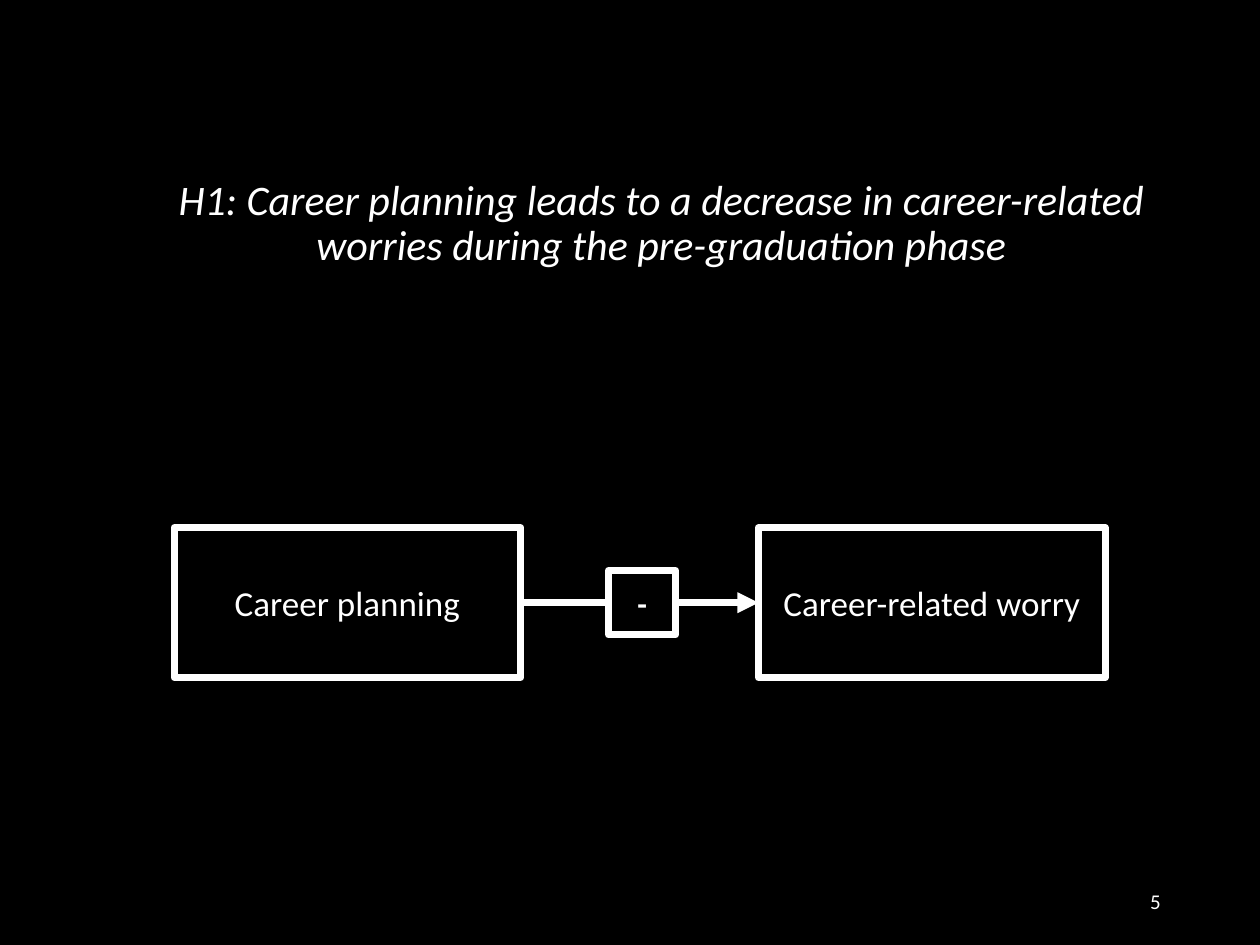
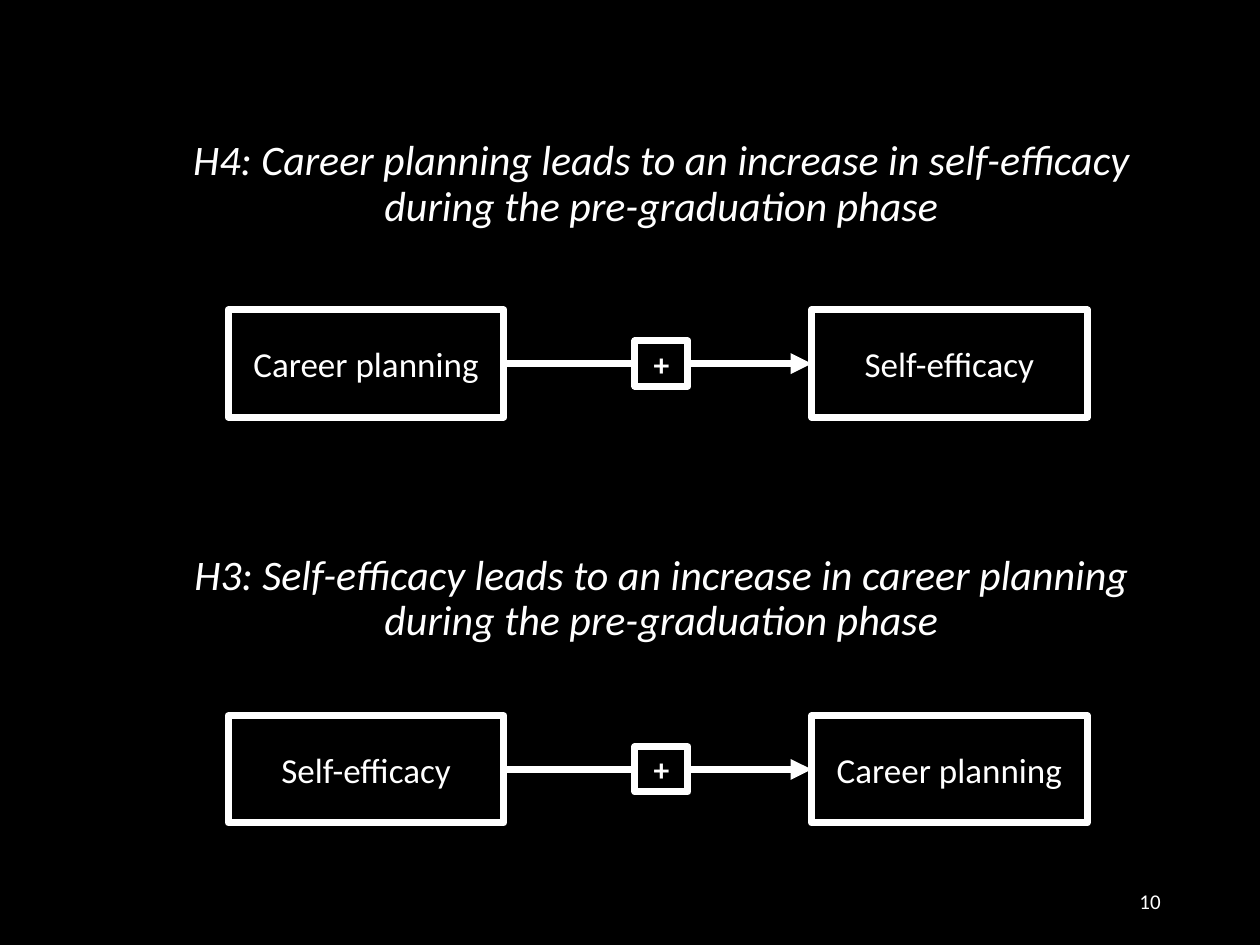
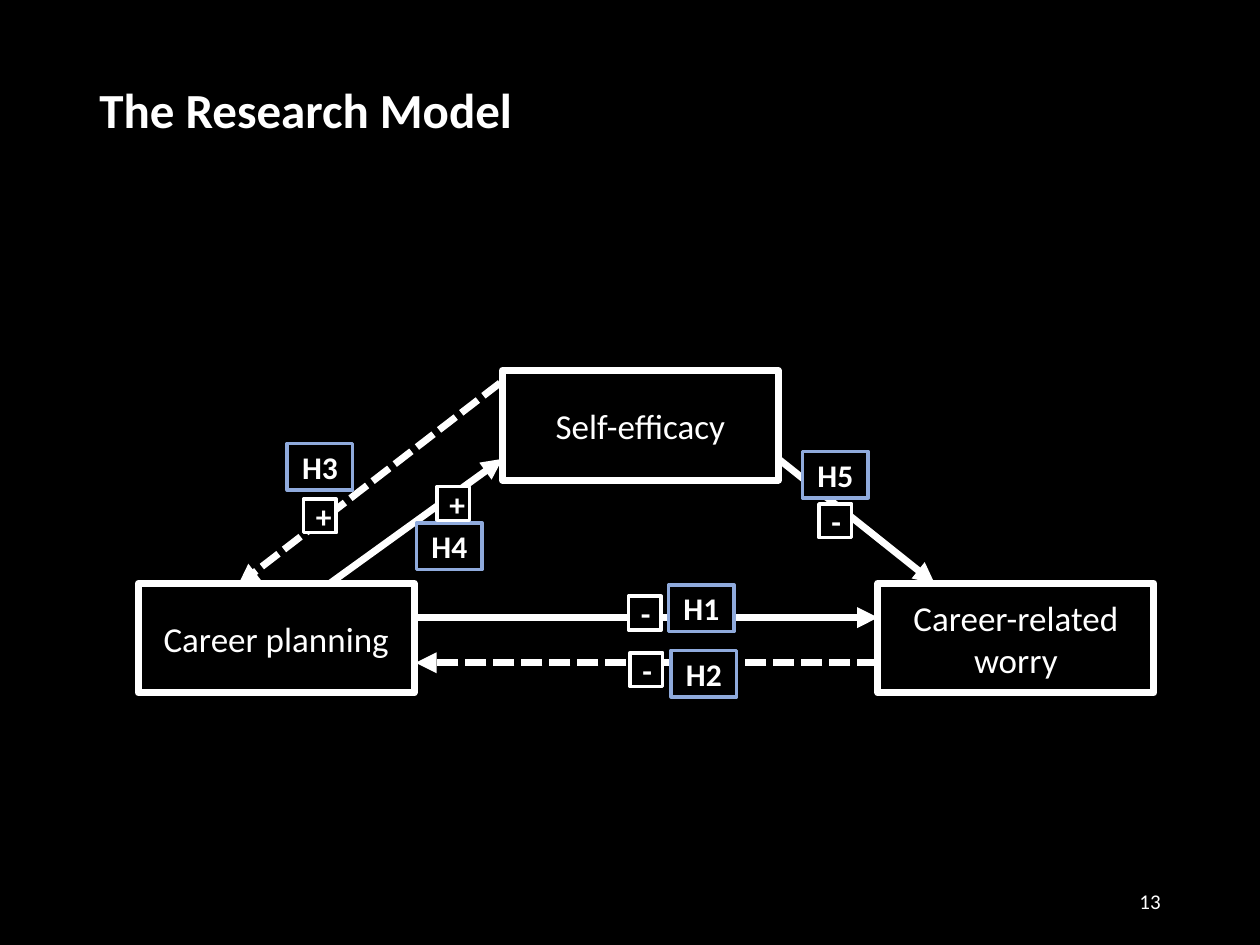
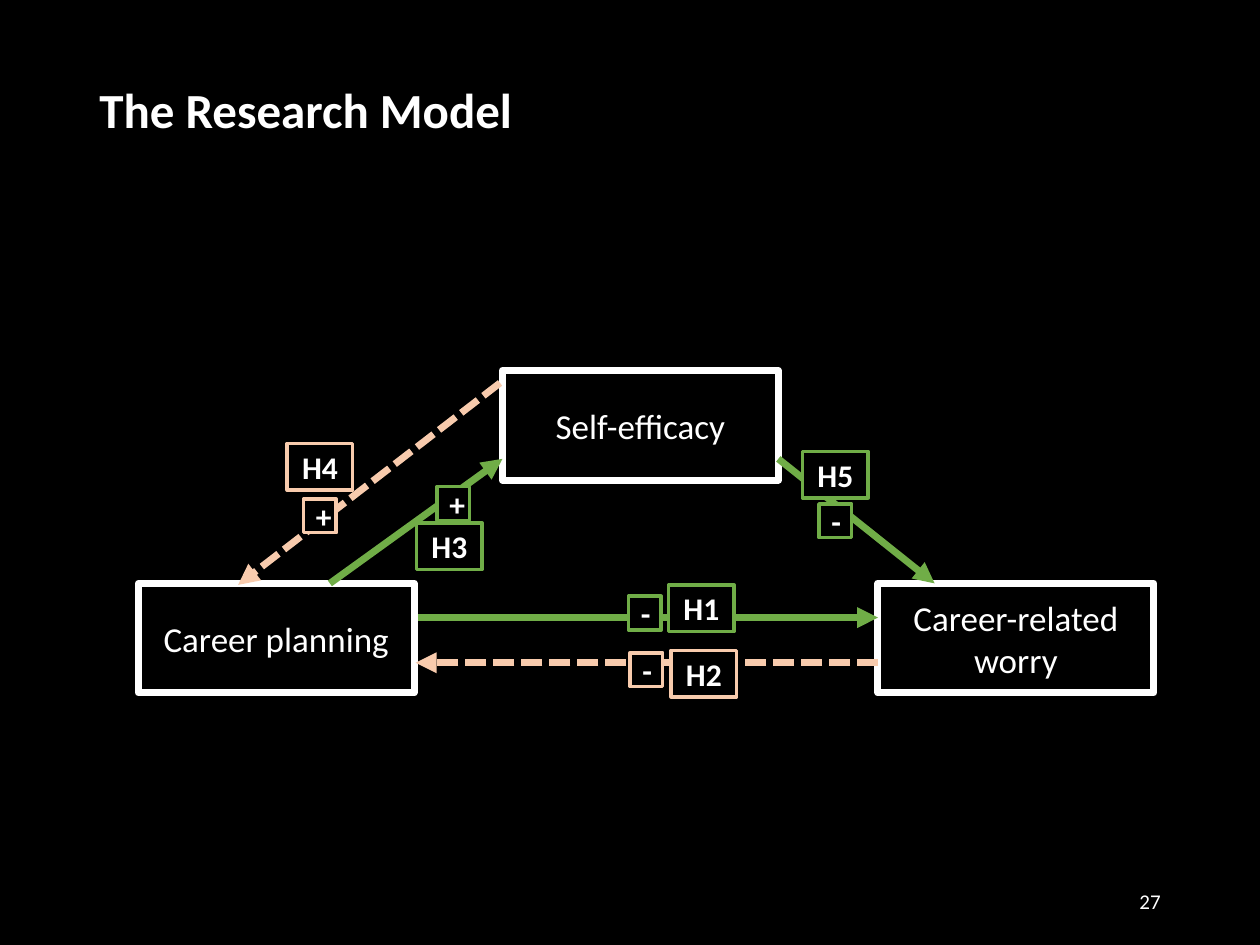
from typing import NamedTuple

from lxml.etree import SubElement
from pptx import Presentation
from pptx.dml.color import RGBColor
from pptx.enum.dml import MSO_LINE
from pptx.enum.shapes import MSO_CONNECTOR, MSO_SHAPE
from pptx.enum.text import MSO_ANCHOR as Anchor, MSO_AUTO_SIZE as Fit, PP_ALIGN as Align
from pptx.oxml.ns import qn
from pptx.util import Cm, Pt

BLACK = RGBColor(0x00, 0x00, 0x00)
WHITE = RGBColor(0xFF, 0xFF, 0xFF)
BLUE = RGBColor(0x8F, 0xAA, 0xDC)
GREEN = RGBColor(0x70, 0xAD, 0x47)
PEACH = RGBColor(0xF8, 0xCB, 0xAD)
FONT = "Calibri"
TITLE_ONLY, BLANK = 5, 6
THICK, THIN = 4, 2

PLAN, SELF, WORRY = "Career planning", "Self-efficacy", "Career-related worry"


class Path(NamedTuple):
    """An effect in the model, in cm from the model's top left corner."""
    start: tuple
    end: tuple
    tag: tuple
    sign: str
    spot: tuple
    dashed: bool = False


NODES = [(SELF, 7.34, 0), (WORRY, 14.91, 4.29), (PLAN, 0, 4.29)]
PATHS = {
    "plan-worry": Path((5.64, 4.98), (14.91, 4.98), (10.69, 4.32), "-", (9.88, 4.55)),
    "worry-plan": Path((14.91, 5.89), (5.59, 5.89), (10.74, 5.64), "-", (9.91, 5.69), True),
    "self-plan": Path((7.29, 0.25), (2.01, 4.32), (3, 1.47), "+", (3.33, 2.59), True),
    "plan-self": Path((3.86, 4.29), (7.34, 1.78), (5.61, 3.07), "+", (6.02, 2.34)),
    "self-worry": Path((12.9, 1.78), (16.05, 4.29), (13.39, 1.63), "-", (13.72, 2.69)),
}


def cms(*nums):
    return [Cm(num) for num in nums]


def write(shape, text, size, align=Align.CENTER, anchor=Anchor.MIDDLE,
          bold=False, italic=False, pitch=None):
    frame = shape.text_frame
    frame.word_wrap = True
    frame.auto_size = Fit.NONE
    frame.vertical_anchor = anchor
    para = frame.paragraphs[0]
    para.alignment = align
    para.line_spacing = pitch
    run = para.add_run()
    run.text = text
    font = run.font
    font.name, font.size = FONT, Pt(size)
    font.bold, font.italic = bold, italic
    font.color.rgb = WHITE


def box(slide, text, x, y, wide, high, size=20, bold=False, color=WHITE, line=THICK):
    shape = slide.shapes.add_shape(MSO_SHAPE.RECTANGLE, *cms(x, y, wide, high))
    shape.shadow.inherit = False
    shape.fill.solid()
    shape.fill.fore_color.rgb = BLACK
    shape.line.color.rgb = color
    shape.line.width = Pt(line)
    write(shape, text, size, bold=bold)
    return shape


def arrow(slide, start, end, color=WHITE, dashed=False):
    link = slide.shapes.add_connector(MSO_CONNECTOR.STRAIGHT, *cms(*start, *end))
    link.line.color.rgb = color
    link.line.width = Pt(THICK)
    if dashed:
        link.line.dash_style = MSO_LINE.SQUARE_DOT
    props = link._element.spPr
    SubElement(props.find(qn("a:ln")), qn("a:tailEnd"), type="triangle")
    SubElement(props, qn("a:effectLst"))
    return link


def claim(slide, text, top):
    """Write a hypothesis as a centred statement."""
    area = slide.shapes.add_textbox(*cms(3.02, top, 20.62, 2.3))
    write(area, text, 24, anchor=Anchor.TOP, italic=True, pitch=0.9)


def effect(slide, cause, result, sign, x, y, size, step, mark, shift):
    """Join two boxes, step apart, by an arrow that carries a sign."""
    wide, high = size
    left = box(slide, cause, x, y, wide, high)
    right = box(slide, result, x + step, y, wide, high)
    link = arrow(slide, (x + wide, y + high / 2), (x + step, y + high / 2))
    link.begin_connect(left, 3)
    link.end_connect(right, 1)
    box(slide, sign, x + shift, y + (high - mark[1]) / 2, *mark, size=18, bold=True)


def model(slide, x, y, names, solid, dash, edge=None):
    """Draw the research model; tags take the colour of their path unless edge is set."""
    for text, dx, dy in NODES:
        box(slide, text, x + dx, y + dy, 5.56, 2.21)
    for path in PATHS.values():
        ends = [(x + dx, y + dy) for dx, dy in (path.start, path.end)]
        arrow(slide, *ends, dash if path.dashed else solid, path.dashed)
    for key, path in PATHS.items():
        tone = dash if path.dashed else solid
        for text, (dx, dy), size, color in (
            (names[key], path.tag, (1.32, 0.94), edge or tone),
            (path.sign, path.spot, (0.66, 0.68), tone),
        ):
            box(slide, text, x + dx, y + dy, *size, 18, True, color, THIN)


def head(slide, text):
    title = slide.shapes.title
    title.left, title.top, title.width, title.height = cms(1.75, 1.6, 21.9, 2.16)
    write(title, text, 28, Align.LEFT, Anchor.TOP, bold=True, pitch=0.9)


def page(deck, layout, number):
    """Add a slide with its page number."""
    slide = deck.slides.add_slide(deck.slide_layouts[layout])
    foot = slide.shapes.add_textbox(*cms(17.93, 17.65, 5.72, 1.02))
    write(foot, str(number), 12, Align.RIGHT)
    return slide


def main():
    deck = Presentation()
    deck.slide_width, deck.slide_height = cms(25.4, 19.05)
    back = deck.slide_master.background.fill
    back.solid()
    back.fore_color.rgb = BLACK

    slide = page(deck, BLANK, 5)
    claim(slide, "H1: Career planning leads to a decrease in career-related "
                 "worries during the pre-graduation phase", 3.48)
    effect(slide, PLAN, WORRY, "-", 3.51, 10.64, (6.99, 3.02), 11.78, (1.35, 1.3), 8.76)

    slide = page(deck, BLANK, 10)
    for top, name, cause, result in ((2.69, "H4", PLAN, SELF), (11.05, "H3", SELF, PLAN)):
        claim(slide, f"{name}: {cause} leads to an increase in {result.lower()} "
                     "during the pre-graduation phase", top)
    for top, cause, result in ((6.25, PLAN, SELF), (14.43, SELF, PLAN)):
        effect(slide, cause, result, "+", 4.6, top, (5.56, 2.16), 11.76, (1.07, 0.91), 8.2)

    for number, order, colors in (
        (13, ("H1", "H2", "H3", "H4", "H5"), (WHITE, WHITE, BLUE)),
        (27, ("H1", "H2", "H4", "H3", "H5"), (GREEN, PEACH)),
    ):
        slide = page(deck, TITLE_ONLY, number)
        head(slide, "The Research Model")
        model(slide, 2.79, 7.47, dict(zip(PATHS, order)), *colors)

    deck.save("out.pptx")


if __name__ == "__main__":
    main()
